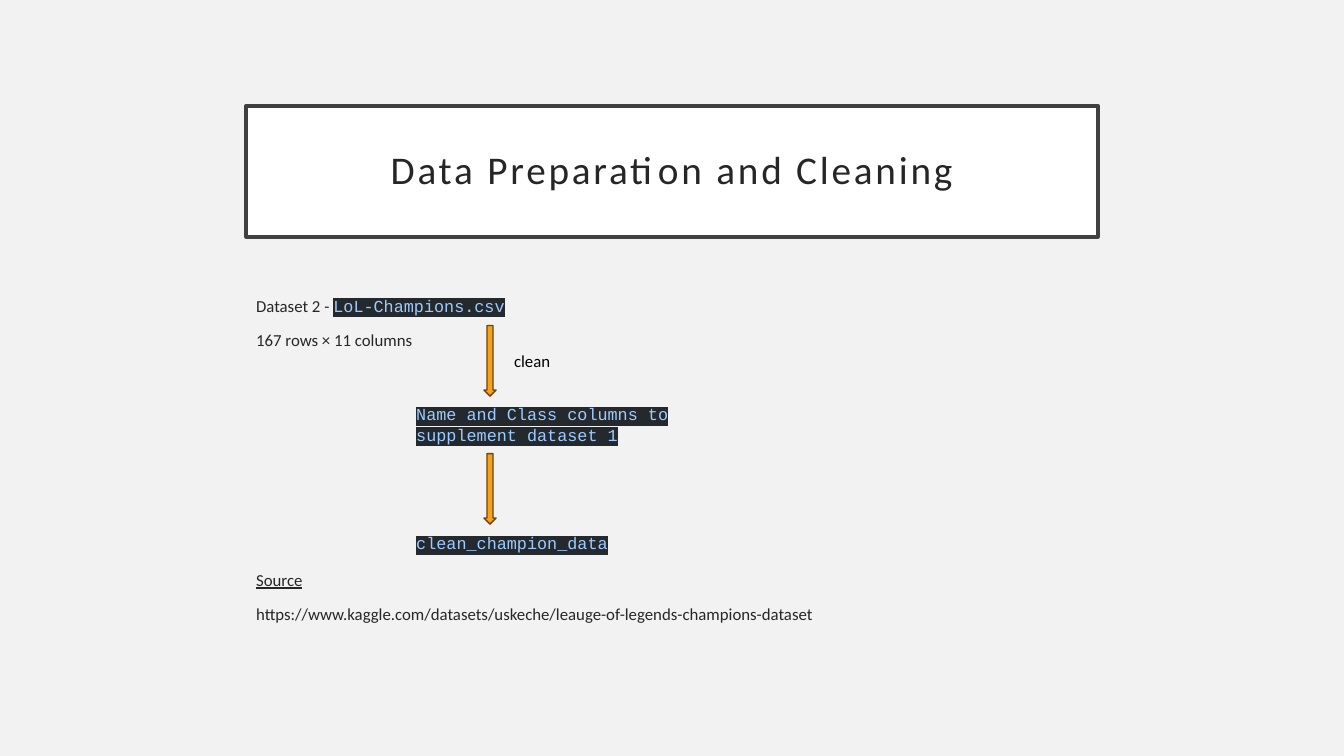
import lxml.etree
import pptx
import pptx.dml.color
import pptx.enum.shapes
import pptx.enum.text
import pptx.oxml.ns
import pptx.util

TITLE = "Data Preparation and Cleaning"
# Body lines: runs of (text, style), space before in points
LINE_GAP, DIAGRAM_GAP = 10, 157
BODY = [
    ([("Dataset 2 - ", "plain"), ("LoL-Champions.csv", "code")], 0),
    ([("167 rows × 11 columns", "plain")], LINE_GAP),
    ([("Source", "underlined")], DIAGRAM_GAP),
    ([("https://www.kaggle.com/datasets/uskeche/leauge-of-legends-champions-dataset", "plain")],
     LINE_GAP),
]
# Diagram labels: text, style, colour, (left, top, width, height)
LABELS = [
    ("clean", "plain", "000000", (5, 3.43, 0.71, 0.3)),
    ("Name and Class columns to supplement dataset 1", "code", "9ECBFF", (4.03, 3.96, 3.22, 0.5)),
    ("clean_champion_data", "code", "9ECBFF", (4.03, 5.24, 2.42, 0.3)),
]
ARROW_TOPS = [3.23, 4.5]
ARROW_LEFT, ARROW_WIDTH, ARROW_HEIGHT = 4.8, 0.12, 0.7

SLIDE_WIDTH, SLIDE_HEIGHT = 13.33, 7.5
COLUMN_WIDTH = 8.45
COLUMN_LEFT = (SLIDE_WIDTH - COLUMN_WIDTH) / 2
INK, CODE_INK, CODE_BACK = "262626", "9ECBFF", "24292E"


def rgb(hex_colour):
    return pptx.dml.color.RGBColor.from_string(hex_colour)


def inches(*lengths):
    return [pptx.util.Inches(length) for length in lengths]


def place(part, left, top, width, height):
    part.left, part.top, part.width, part.height = inches(left, top, width, height)


def paint(part, fill, line, line_width):
    part.fill.solid()
    part.fill.fore_color.rgb = rgb(fill)
    part.line.color.rgb = rgb(line)
    part.line.width = pptx.util.Pt(line_width)


def set_font(font, colour, size=12, name="Calibri"):
    font.size = pptx.util.Pt(size)
    font.color.rgb = rgb(colour)
    font.name = name


def add_run(paragraph, text, style):
    run = paragraph.add_run()
    run.text = text
    if style == "underlined":
        run.font.underline = True
    elif style == "code":
        run.font.color.rgb = rgb(CODE_INK)
        highlight = lxml.etree.SubElement(run.font._element, pptx.oxml.ns.qn("a:highlight"))
        lxml.etree.SubElement(highlight, pptx.oxml.ns.qn("a:srgbClr"), val=CODE_BACK)
        run.font.name = "Courier New"


def remove_bullet(paragraph):
    properties = paragraph._p.get_or_add_pPr()
    properties.set("marL", "0")
    properties.set("indent", "0")
    lxml.etree.SubElement(properties, pptx.oxml.ns.qn("a:buNone"))


def add_title(slide):
    title = slide.shapes.title
    place(title, COLUMN_LEFT, 1.05, COLUMN_WIDTH, 1.3)
    paint(title, "FFFFFF", "404040", 2.5)
    frame = title.text_frame
    frame.text = TITLE
    frame.auto_size = pptx.enum.text.MSO_AUTO_SIZE.NONE
    frame.vertical_anchor = pptx.enum.text.MSO_ANCHOR.MIDDLE
    frame.margin_left = frame.margin_right = pptx.util.Inches(0.2)
    frame.margin_top = frame.margin_bottom = pptx.util.Inches(0.2)
    heading = frame.paragraphs[0]
    heading.alignment = pptx.enum.text.PP_ALIGN.CENTER
    heading.line_spacing = 0.9
    set_font(heading.font, INK, 28)
    heading.runs[0].font._element.set("spc", "200")


def add_body(slide):
    body = slide.placeholders[1]
    place(body, COLUMN_LEFT, 2.88, COLUMN_WIDTH, 3.39)
    frame = body.text_frame
    frame.auto_size = pptx.enum.text.MSO_AUTO_SIZE.NONE
    for index, (runs, gap) in enumerate(BODY):
        paragraph = frame.add_paragraph() if index else frame.paragraphs[0]
        remove_bullet(paragraph)
        paragraph.space_before = pptx.util.Pt(gap)
        set_font(paragraph.font, INK)
        for text, style in runs:
            add_run(paragraph, text, style)


def add_diagram(slide):
    for top in ARROW_TOPS:
        arrow = slide.shapes.add_shape(
            pptx.enum.shapes.MSO_SHAPE.DOWN_ARROW,
            *inches(ARROW_LEFT, top, ARROW_WIDTH, ARROW_HEIGHT))
        arrow.shadow.inherit = False
        paint(arrow, "F6A21D", "6C470D", 1)
    for text, style, colour, box in LABELS:
        frame = slide.shapes.add_textbox(*inches(*box)).text_frame
        frame.word_wrap = True
        frame.auto_size = pptx.enum.text.MSO_AUTO_SIZE.SHAPE_TO_FIT_TEXT
        set_font(frame.paragraphs[0].font, colour)
        add_run(frame.paragraphs[0], text, style)


def main():
    deck = pptx.Presentation()
    deck.slide_width, deck.slide_height = inches(SLIDE_WIDTH, SLIDE_HEIGHT)
    slide = deck.slides.add_slide(deck.slide_layouts[1])
    slide.background.fill.solid()
    slide.background.fill.fore_color.rgb = rgb("F2F2F2")
    add_title(slide)
    add_body(slide)
    add_diagram(slide)
    deck.save("out.pptx")


if __name__ == "__main__":
    main()
